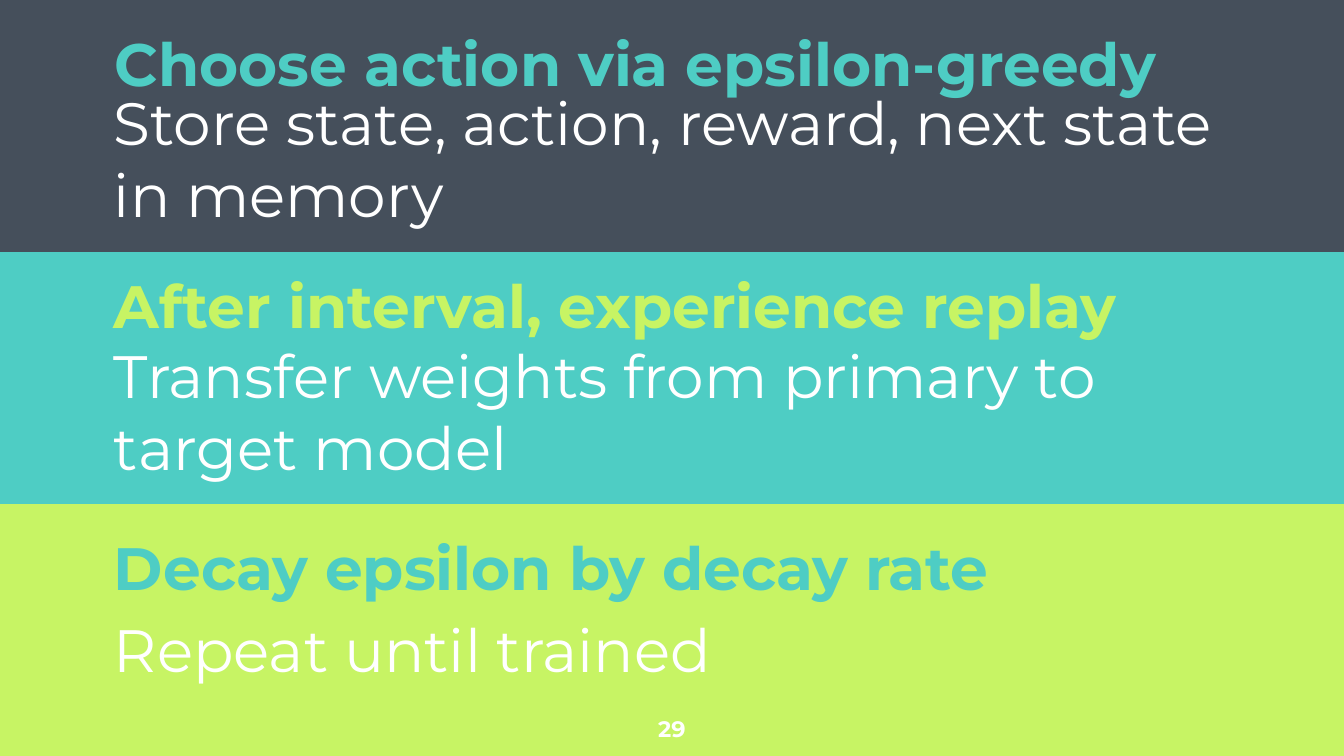
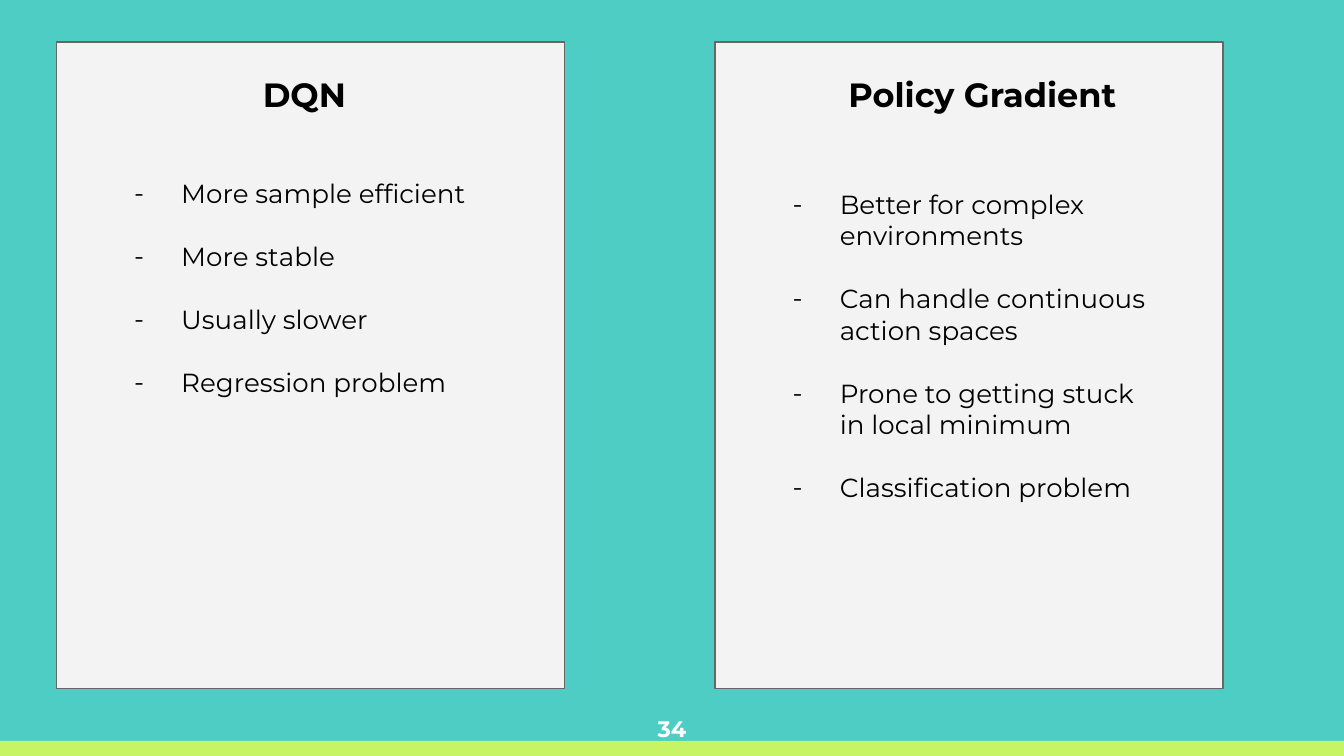
from lxml.etree import SubElement
from pptx import Presentation
from pptx.dml.color import RGBColor
from pptx.enum.shapes import MSO_SHAPE as Preset
from pptx.enum.text import MSO_ANCHOR as Anchor, MSO_AUTO_SIZE as AutoSize, PP_ALIGN as Align
from pptx.oxml.ns import qn
from pptx.util import Pt

# Shared style
SLATE = RGBColor(0x45, 0x4F, 0x5B)
TEAL = RGBColor(0x4E, 0xCD, 0xC4)
LIME = RGBColor(0xC7, 0xF4, 0x64)
PALE = RGBColor(0xF3, 0xF3, 0xF3)
GREY = RGBColor(0x66, 0x66, 0x66)
WHITE = RGBColor(0xFF, 0xFF, 0xFF)
BLACK = RGBColor(0, 0, 0)
FONT = "Montserrat"
WIDTH, HEIGHT = 720, 405
BAND_HEIGHT = HEIGHT / 3
INSET = 7.2
TITLE_ONLY, BLANK = 5, 6

# Band fill, heading, heading colour, heading top, detail, detail top
STEPS = [
    (SLATE, "Choose action via epsilon-greedy", TEAL, -10.8,
     "Store state, action, reward, next state in memory", 38.9),
    (TEAL, "After interval, experience replay", LIME, 118.8,
     "Transfer weights from primary to target model", 174.2),
    (LIME, "Decay epsilon by decay rate", TEAL, 259.2,
     "Repeat until trained", 321.1),
]

# Card left, heading, heading left, heading width, list left, list top, points
METHODS = [
    (30.2, "DQN", 92.2, 141.8, 54, 87.8,
     ["More sample efficient", "More stable", "Usually slower", "Regression problem"]),
    (383, "Policy Gradient", 437, 178.6, 406.8, 93.6,
     ["Better for complex environments", "Can handle continuous action spaces",
      "Prone to getting stuck in local minimum", "Classification problem"]),
]


def add_slide(presentation, layout, background):
    slide = presentation.slides.add_slide(presentation.slide_layouts[layout])
    slide.background.fill.solid()
    slide.background.fill.fore_color.rgb = background
    return slide


def add_rectangle(slide, left, top, width, height, fill, line=None):
    shape = slide.shapes.add_shape(Preset.RECTANGLE, Pt(left), Pt(top), Pt(width), Pt(height))
    shape.shadow.inherit = False
    shape.fill.solid()
    shape.fill.fore_color.rgb = fill
    if line is None:
        shape.line.fill.background()
    else:
        shape.line.color.rgb = line
        shape.line.width = Pt(0.75)
    return shape


def add_run(paragraph, text, size, color, bold=False):
    run = paragraph.add_run()
    run.text = text
    run.font.name = FONT
    run.font.size = Pt(size)
    run.font.bold = bold
    run.font.color.rgb = color


def format_frame(shape, anchor=Anchor.TOP):
    frame = shape.text_frame
    frame.word_wrap = True
    frame.auto_size = AutoSize.NONE
    frame.vertical_anchor = anchor
    frame.margin_left = frame.margin_right = Pt(INSET)
    frame.margin_top = frame.margin_bottom = Pt(INSET)
    return frame


def add_text(slide, box, text, size, color, bold=False, align=Align.LEFT,
             anchor=Anchor.TOP, placeholder=None):
    left, top, width, height = map(Pt, box)
    shape = placeholder
    if shape is None:
        shape = slide.shapes.add_textbox(left, top, width, height)
    else:
        shape.left, shape.top, shape.width, shape.height = left, top, width, height
    paragraph = format_frame(shape, anchor).paragraphs[0]
    paragraph.alignment = align
    add_run(paragraph, text, size, color, bold)


def add_dash(paragraph):
    properties = paragraph._p.get_or_add_pPr()
    properties.set("marL", str(Pt(36)))
    properties.set("indent", str(Pt(-25.2)))
    color = SubElement(properties, qn("a:buClr"))
    SubElement(color, qn("a:srgbClr"), val=str(BLACK))
    SubElement(properties, qn("a:buFont"), typeface=FONT)
    SubElement(properties, qn("a:buChar"), char="-")


def add_dash_list(slide, left, top, points):
    shape = slide.shapes.add_textbox(Pt(left), Pt(top), Pt(224.6), Pt(248.4))
    frame = format_frame(shape)
    for index, point in enumerate(points):
        paragraph = frame.add_paragraph() if index else frame.paragraphs[0]
        add_dash(paragraph)
        if index:
            paragraph.space_before = Pt(17)
        add_run(paragraph, point, 14, BLACK)


def add_page_number(slide, number):
    add_text(slide, (338.4, 375.8, 43.2, 24.5), number, 12, WHITE, True, Align.CENTER)


def build_training_steps(presentation):
    slide = add_slide(presentation, TITLE_ONLY, LIME)
    title = slide.shapes.title

    # Bands; the last one is the background
    for index, step in enumerate(STEPS[:-1]):
        add_rectangle(slide, 0, index * BAND_HEIGHT, WIDTH, BAND_HEIGHT, step[0])

    # Bring the title in front of the bands
    title.element.getparent().append(title.element)

    for index, (_, heading, color, top, detail, detail_top) in enumerate(STEPS):
        add_text(slide, (54, top, 612, 70.6), heading, 32, color, True,
                 anchor=Anchor.BOTTOM, placeholder=None if index else title)
        add_text(slide, (54, detail_top, 612, 36.7), detail, 32, WHITE)
    add_page_number(slide, "29")


def build_comparison(presentation):
    slide = add_slide(presentation, BLANK, TEAL)
    add_rectangle(slide, 0, 397, WIDTH, 8, LIME)
    add_page_number(slide, "34")

    # Cards with heading and list
    for left, heading, heading_left, heading_width, list_left, list_top, points in METHODS:
        add_rectangle(slide, left, 22.5, 272.2, 346.3, PALE, GREY)
        add_text(slide, (heading_left, 32.4, heading_width, 28), heading, 18, BLACK,
                 True, Align.CENTER)
        add_dash_list(slide, list_left, list_top, points)


def main():
    presentation = Presentation()
    presentation.slide_width = Pt(WIDTH)
    presentation.slide_height = Pt(HEIGHT)
    build_training_steps(presentation)
    build_comparison(presentation)
    presentation.save("out.pptx")


if __name__ == "__main__":
    main()
